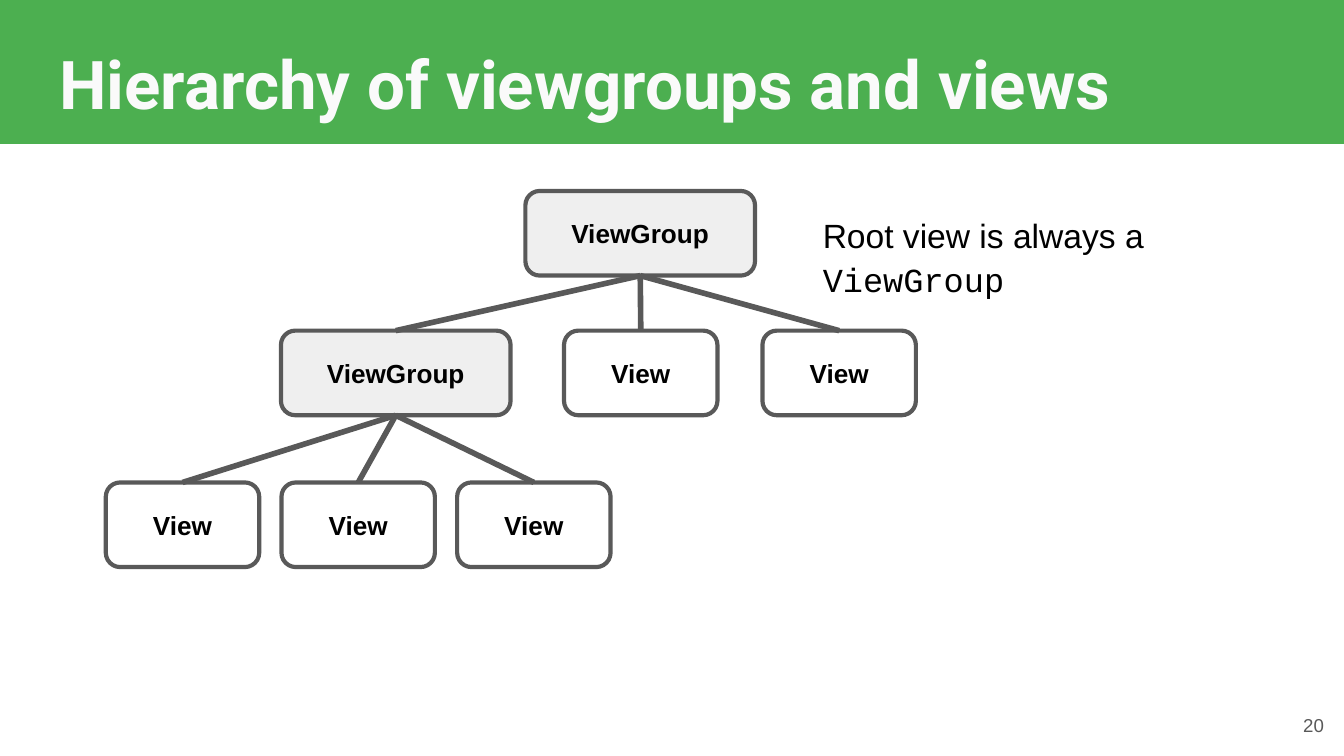
from pptx import Presentation
from pptx.dml.color import RGBColor
from pptx.enum.shapes import MSO_CONNECTOR, MSO_SHAPE
from pptx.enum.text import MSO_ANCHOR, PP_ALIGN
from pptx.oxml.ns import qn
from pptx.util import Cm, Pt
from lxml.etree import SubElement

GREEN = RGBColor(0x4C, 0xAF, 0x50)
OFF_WHITE = RGBColor(0xFA, 0xFA, 0xFA)
WHITE = RGBColor(0xFF, 0xFF, 0xFF)
LIGHT_GRAY = RGBColor(0xEF, 0xEF, 0xEF)
DARK_GRAY = RGBColor(0x59, 0x59, 0x59)
BLACK = RGBColor(0, 0, 0)

NODE_STYLES = {"ViewGroup": (4.34, LIGHT_GRAY), "View": (2.9, WHITE)}
NODE_HEIGHT = 1.6
ROOT_TOP, BRANCH_TOP, LEAF_TOP = 3.61, 6.25, 9.12
LEAF_LEFT, LEAF_STEP = 2, 3.32


class HierarchySlide:
    body_font = "Arial"
    code_font = "Courier New"
    title_font = "Roboto"

    def __init__(self, slide):
        self.slide = slide

    def format_run(self, run, size, color, font=body_font, bold=False):
        run.font.size = Pt(size)
        run.font.color.rgb = color
        run.font.name = font
        run.font.bold = bold

    def format_frame(self, frame, anchor=MSO_ANCHOR.TOP):
        frame.word_wrap = True
        frame.vertical_anchor = anchor
        frame.margin_left = frame.margin_right = Cm(0.25)
        frame.margin_top = frame.margin_bottom = Cm(0.25)

    def banner(self, left, top, width, height):
        band = self.slide.shapes.add_shape(
            MSO_SHAPE.RECTANGLE, Cm(left), Cm(top), Cm(width), Cm(height))
        band.shadow.inherit = False
        band.fill.solid()
        band.fill.fore_color.rgb = GREEN
        band.line.fill.background()
        self.slide.shapes._spTree.insert(2, band._element)

    def title(self, text, left, top, width, height):
        heading = self.slide.shapes.title
        heading.left, heading.top = Cm(left), Cm(top)
        heading.width, heading.height = Cm(width), Cm(height)
        frame = heading.text_frame
        frame.text = text
        self.format_frame(frame)
        paragraph = frame.paragraphs[0]
        paragraph.alignment = PP_ALIGN.LEFT
        paragraph.line_spacing = 1.05
        self.format_run(paragraph.runs[0], 36, OFF_WHITE, self.title_font, True)

    def text_box(self, left, top, width, height, anchor=MSO_ANCHOR.TOP):
        box = self.slide.shapes.add_textbox(Cm(left), Cm(top), Cm(width), Cm(height))
        self.format_frame(box.text_frame, anchor)
        return box.text_frame.paragraphs[0]

    def page_number(self, number, left, top, width, height):
        paragraph = self.text_box(left, top, width, height, MSO_ANCHOR.MIDDLE)
        paragraph.text = number
        paragraph.alignment = PP_ALIGN.RIGHT
        self.format_run(paragraph.runs[0], 10, DARK_GRAY)

    def note(self, words, code, left, top, width, height):
        paragraph = self.text_box(left, top, width, height)
        paragraph.line_spacing = 1.1
        for text, font in ((words, self.body_font), (code, self.code_font)):
            run = paragraph.add_run()
            run.text = text
            self.format_run(run, 18, BLACK, font)

    def node(self, label, left, top):
        width, fill = NODE_STYLES[label]
        node = self.slide.shapes.add_shape(
            MSO_SHAPE.ROUNDED_RECTANGLE, Cm(left), Cm(top), Cm(width), Cm(NODE_HEIGHT))
        node.adjustments[0] = 0.17
        node.shadow.inherit = False
        node.fill.solid()
        node.fill.fore_color.rgb = fill
        node.line.color.rgb = DARK_GRAY
        node.line.width = Pt(2.25)
        frame = node.text_frame
        frame.text = label
        self.format_frame(frame, MSO_ANCHOR.MIDDLE)
        paragraph = frame.paragraphs[0]
        paragraph.alignment = PP_ALIGN.CENTER
        self.format_run(paragraph.runs[0], 14, BLACK, bold=True)
        return node

    def branch(self, parent, child):
        link = self.slide.shapes.add_connector(MSO_CONNECTOR.STRAIGHT, 0, 0, 0, 0)
        link.begin_connect(parent, 2)
        link.end_connect(child, 0)
        link.line.color.rgb = DARK_GRAY
        link.line.width = Pt(3)
        SubElement(link._element.spPr, qn("a:effectLst"))


def main():
    presentation = Presentation()
    presentation.slide_width = Cm(25.4)
    presentation.slide_height = Cm(14.29)
    page = HierarchySlide(presentation.slides.add_slide(presentation.slide_layouts[5]))

    page.banner(-0.02, -0.1, 25.44, 2.82)
    page.title("Hierarchy of viewgroups and views", 0.87, 0.48, 23.67, 1.6)
    page.page_number("20", 23.75, 13.16, 1.52, 1.09)

    root = page.node("ViewGroup", 9.93, ROOT_TOP)
    group = page.node("ViewGroup", 5.31, BRANCH_TOP)
    views = [page.node("View", left, BRANCH_TOP) for left in (10.66, 14.41)]
    leaves = [page.node("View", LEAF_LEFT + LEAF_STEP * column, LEAF_TOP)
              for column in range(3)]

    for parent, children in ((root, [group, *views]), (group, leaves)):
        for child in children:
            page.branch(parent, child)

    page.note("Root view is always a ", "ViewGroup", 15.3, 3.73, 10.1, 1.09)
    presentation.save("out.pptx")


if __name__ == "__main__":
    main()
